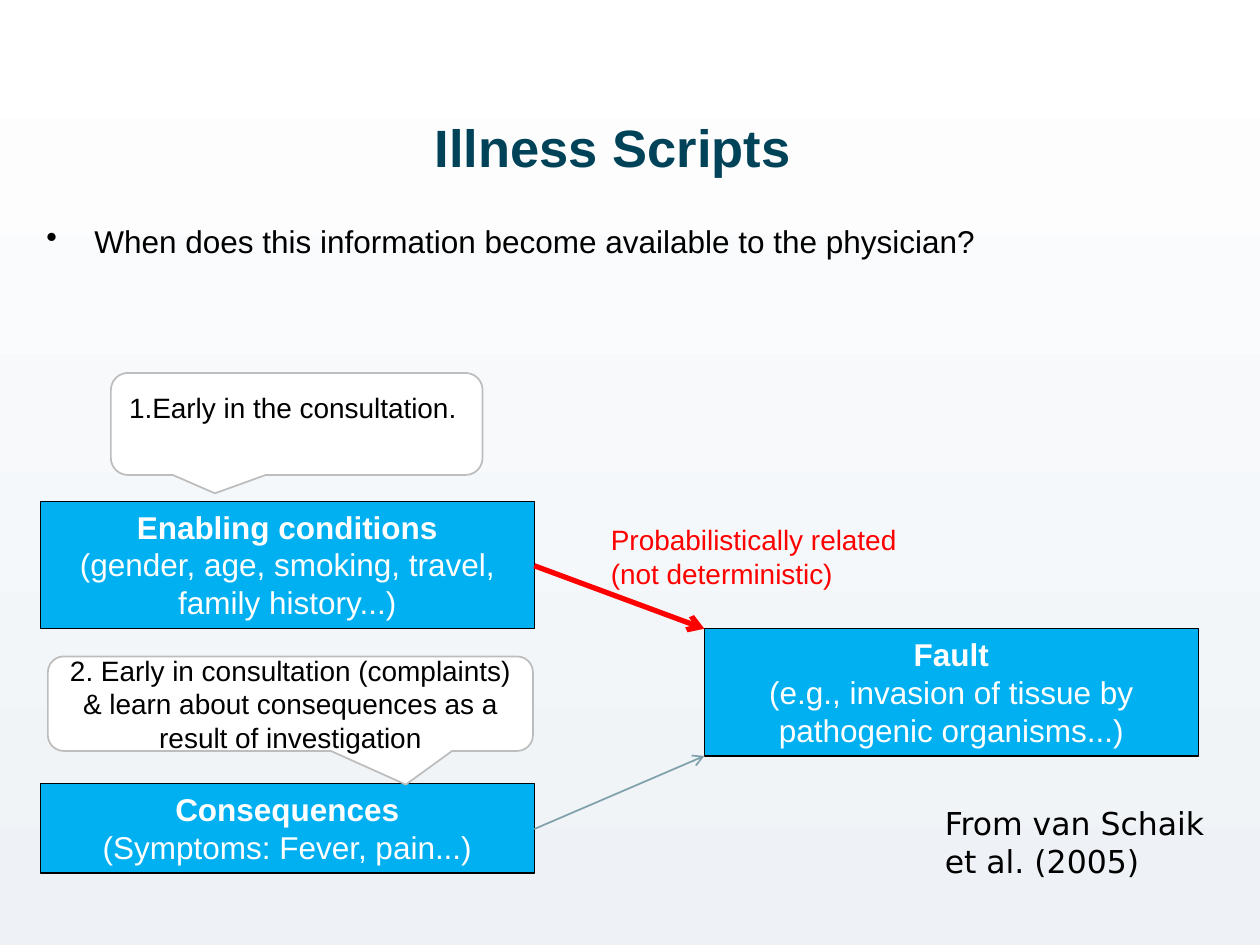
from lxml import etree
from pptx import Presentation
from pptx.dml.color import RGBColor
from pptx.enum import shapes, text
from pptx.oxml import ns
from pptx.util import Inches, Pt

HEX = {"white": "FFFFFF", "mist": "EEF2F6", "teal": "004359", "black": "000000",
       "blue": "00B0F0", "red": "FF0000", "steel": "7FA1AC", "grey": "BDBDBD"}
KIND = shapes.MSO_SHAPE
MID, LEFT = text.PP_ALIGN.CENTER, text.PP_ALIGN.LEFT


def tint(name):
    return RGBColor.from_string(HEX[name])


def write(shape, lines, size=18, color="black", font="Arial", bold=(), align=LEFT,
          anchor="TOP", bullet=None, pad=(0.1, 0.05, 0.1, 0.05)):
    """Fill a shape with one paragraph per line; bold holds line numbers."""
    frame = shape.text_frame
    frame.word_wrap = True
    frame.vertical_anchor = getattr(text.MSO_ANCHOR, anchor)
    (frame.margin_left, frame.margin_top,
     frame.margin_right, frame.margin_bottom) = map(Inches, pad)
    for i, line in enumerate(lines):
        para = frame.paragraphs[0] if i == 0 else frame.add_paragraph()
        para.alignment = align
        if bullet:
            props = para._p.get_or_add_pPr()
            hang = Inches(0.38)
            props.set("marL", str(hang))
            props.set("indent", str(-hang))
            etree.SubElement(props, ns.qn("a:buChar")).set("char", bullet)
        run = para.add_run()
        run.text = line
        run.font.size, run.font.name = Pt(size), font
        run.font.bold = i in bold
        run.font.color.rgb = tint(color)


def label(slide, box, lines, **form):
    shape = slide.shapes.add_textbox(*map(Inches, box))
    write(shape, lines, **form)


def block(slide, kind, box, fill, line, width):
    shape = slide.shapes.add_shape(kind, *map(Inches, box))
    shape.shadow.inherit = False
    shape.fill.solid()
    shape.fill.fore_color.rgb = tint(fill)
    shape.line.color.rgb = tint(line)
    shape.line.width = Pt(width)
    return shape


def card(slide, box, head, note):
    shape = block(slide, KIND.RECTANGLE, box, "blue", "black", 0.75)
    write(shape, [head, note], color="white", bold=[0], align=MID)


def callout(slide, box, words, tip, pad):
    """Rounded speech bubble; tip is the pointer's offset from the centre."""
    shape = block(slide, KIND.ROUNDED_RECTANGULAR_CALLOUT, box, "white", "grey", 1)
    shape.adjustments[0], shape.adjustments[1] = tip
    write(shape, [words], size=16, align=MID, anchor="MIDDLE", pad=pad)


def arrow(slide, start, end, color, width):
    line = slide.shapes.add_connector(
        shapes.MSO_CONNECTOR.STRAIGHT, *map(Inches, start + end))
    line.line.color.rgb = tint(color)
    line.line.width = Pt(width)
    tip = etree.SubElement(line.line._get_or_add_ln(), ns.qn("a:tailEnd"))
    tip.set("type", "arrow")
    etree.SubElement(line._element.spPr, ns.qn("a:effectLst"))


def backdrop(slide):
    fill = slide.background.fill
    fill.gradient()
    fill.gradient_angle = 270
    for stop, name in zip(fill.gradient_stops, ("white", "mist")):
        stop.color.rgb = tint(name)


def header(slide):
    label(slide, (0.32, 0.82, 9.28, 1.42), ["Illness Scripts"], size=30,
          color="teal", bold=[0], align=MID, pad=(0.1, 0.09, 0.29, 0.05))
    label(slide, (0.27, 1.69, 9.58, 5.35),
          ["When does this information become available to the physician?"],
          bullet="•", pad=(0.1, 0.07, 0.1, 0.05))


def diagram(slide):
    left, right, wide, tall = 0.32, 5.59, 3.92, 1.01
    edge, top = left + wide, 4.99
    card(slide, (left, 3.98, wide, tall), "Enabling conditions",
         "(gender, age, smoking, travel, family history...)")
    card(slide, (left, 6.22, wide, 0.71), "Consequences",
         "(Symptoms: Fever, pain...)")
    card(slide, (right, top, wide, tall), "Fault",
         "(e.g., invasion of tissue by pathogenic organisms...)")
    arrow(slide, (edge, 4.49), (right, top), "red", 3)
    arrow(slide, (edge, 6.58), (right, top + tall), "steel", 1)
    callout(slide, (0.88, 2.96, 2.95, 0.81), "1.Early in the consultation.",
            (-0.22, 0.68), (0.1, 0.05, 0.16, 0.31))
    callout(slide, (0.38, 5.21, 3.85, 0.75),
            "2. Early in consultation (complaints) & learn about consequences "
            "as a result of investigation", (0.238, 0.856), (0.1, 0.05, 0.1, 0.05))
    label(slide, (4.75, 4.1, 2.65, 0.64),
          ["Probabilistically related (not deterministic)"], size=16, color="red")


def main():
    deck = Presentation()
    deck.slide_width, deck.slide_height = Inches(10), Inches(7.5)
    slide = deck.slides.add_slide(deck.slide_layouts[6])
    backdrop(slide)
    header(slide)
    diagram(slide)
    label(slide, (7.4, 6.33, 2.36, 0.71), ["From van Schaik et al. (2005)"],
          font="DejaVu Sans")
    deck.save("out.pptx")


if __name__ == "__main__":
    main()
